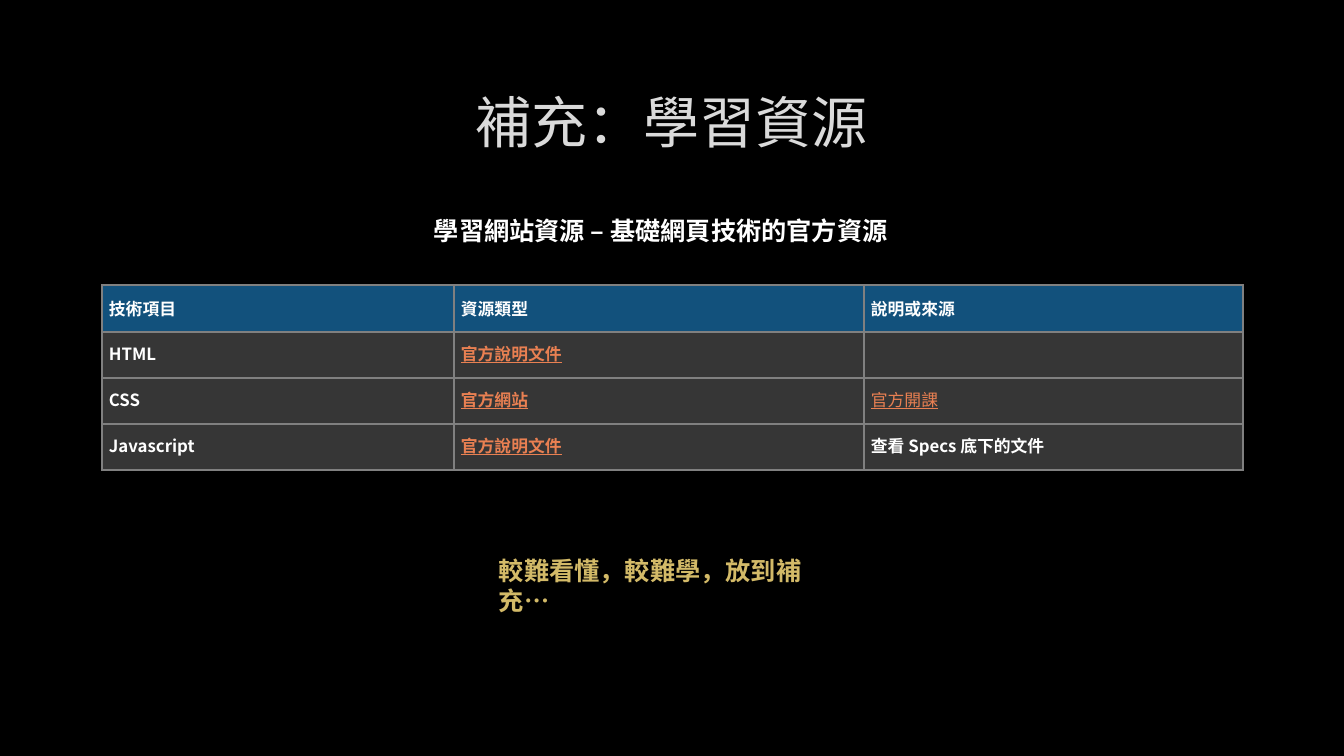
from lxml.etree import SubElement as Sub
from pptx import Presentation
from pptx.dml.color import RGBColor as Color
from pptx.enum.text import MSO_ANCHOR as Anchor, PP_ALIGN as Align
from pptx.oxml.ns import qn
from pptx.util import Pt

WHITE = Color(0xFF, 0xFF, 0xFF)
BLACK = Color(0x00, 0x00, 0x00)
SILVER = Color(0xDA, 0xDA, 0xDA)
GOLD = Color(0xD3, 0xBA, 0x68)
CORAL = Color(0xE9, 0x80, 0x52)
BLUE = Color(0x12, 0x51, 0x7C)
DARK = Color(0x36, 0x36, 0x36)
GRAY = Color(0x80, 0x80, 0x80)
PX = 914400 / 100.8
HAN = "Noto Sans CJK TC"

MONO = dict(name="DejaVu Sans Mono", size=Pt(18), bold=True)
HEAD = dict(name="Roboto", size=Pt(12), bold=True, color=WHITE)
BODY = {**HEAD, "name": HAN}
LINK = {**HEAD, "color": CORAL, "underline": True}
THIN = {**LINK, "bold": False}

TEXTS = [
    ("補充：學習資源", (101, 68, 1141, 107), Align.CENTER, Anchor.MIDDLE,
     dict(name="Arial", size=Pt(40), color=SILVER)),
    ("學習網站資源 – 基礎網頁技術的官方資源", (424, 210, 495, 40),
     Align.LEFT, Anchor.TOP, {**MONO, "color": WHITE}),
    ("較難看懂，較難學，放到補充…", (489, 550, 366, 40),
     Align.LEFT, Anchor.TOP, {**MONO, "color": GOLD}),
]
ROWS = [
    [("技術項目", HEAD), ("資源類型", HEAD), ("說明或來源", HEAD)],
    [("HTML", BODY), ("官方說明文件", LINK), ("", BODY)],
    [("CSS", BODY), ("官方網站", LINK), ("官方開課", THIN)],
    [("Javascript", BODY), ("官方說明文件", LINK),
     ("查看 Specs 底下的文件", BODY)],
]
GRID = (102, 285)
COLS = [352, 410, 379]
HIGH = [47, 46, 46, 46]
PADS = dict(margin_left=7, margin_right=7, margin_top=4, margin_bottom=4)


def emu(*vals):
    return [round(v * PX) for v in vals]


def write(para, text, style):
    run = para.add_run()
    run.text = text
    for key, val in style.items():
        if key == "color":
            run.font.color.rgb = val
        else:
            setattr(run.font, key, val)
    Sub(run.font._element, qn("a:ea"), typeface=HAN)


def edge(cell):
    props = cell._tc.get_or_add_tcPr()
    for i, side in enumerate(("lnL", "lnR", "lnT", "lnB")):
        line = Sub(props, qn("a:" + side), w=str(Pt(1)))
        fill = Sub(line, qn("a:solidFill"))
        Sub(fill, qn("a:srgbClr"), val=str(GRAY))
        props.insert(i, line)


def paint(cell, text, style, top):
    cell.fill.solid()
    cell.fill.fore_color.rgb = BLUE if top else DARK
    edge(cell)
    cell.vertical_anchor = Anchor.MIDDLE
    for key, val in PADS.items():
        setattr(cell, key, emu(val)[0])
    if text:
        para = cell.text_frame.paragraphs[0]
        para.line_spacing = Pt(16.5 if top else 14.2)
        write(para, text, style)


def main():
    deck = Presentation()
    deck.slide_width, deck.slide_height = emu(1344, 756)
    slide = deck.slides.add_slide(deck.slide_layouts[6])
    back = slide.background.fill
    back.solid()
    back.fore_color.rgb = BLACK

    for text, box, align, anchor, style in TEXTS:
        frame = slide.shapes.add_textbox(*emu(*box)).text_frame
        frame.word_wrap = True
        frame.vertical_anchor = anchor
        frame.paragraphs[0].alignment = align
        write(frame.paragraphs[0], text, style)

    size = emu(*GRID, sum(COLS), sum(HIGH))
    table = slide.shapes.add_table(len(ROWS), len(COLS), *size).table
    for col, wide in zip(table.columns, emu(*COLS)):
        col.width = wide
    for row, high in zip(table.rows, emu(*HIGH)):
        row.height = high
    for r, row in enumerate(ROWS):
        for c, (text, style) in enumerate(row):
            paint(table.cell(r, c), text, style, r == 0)

    deck.save("out.pptx")


if __name__ == "__main__":
    main()
